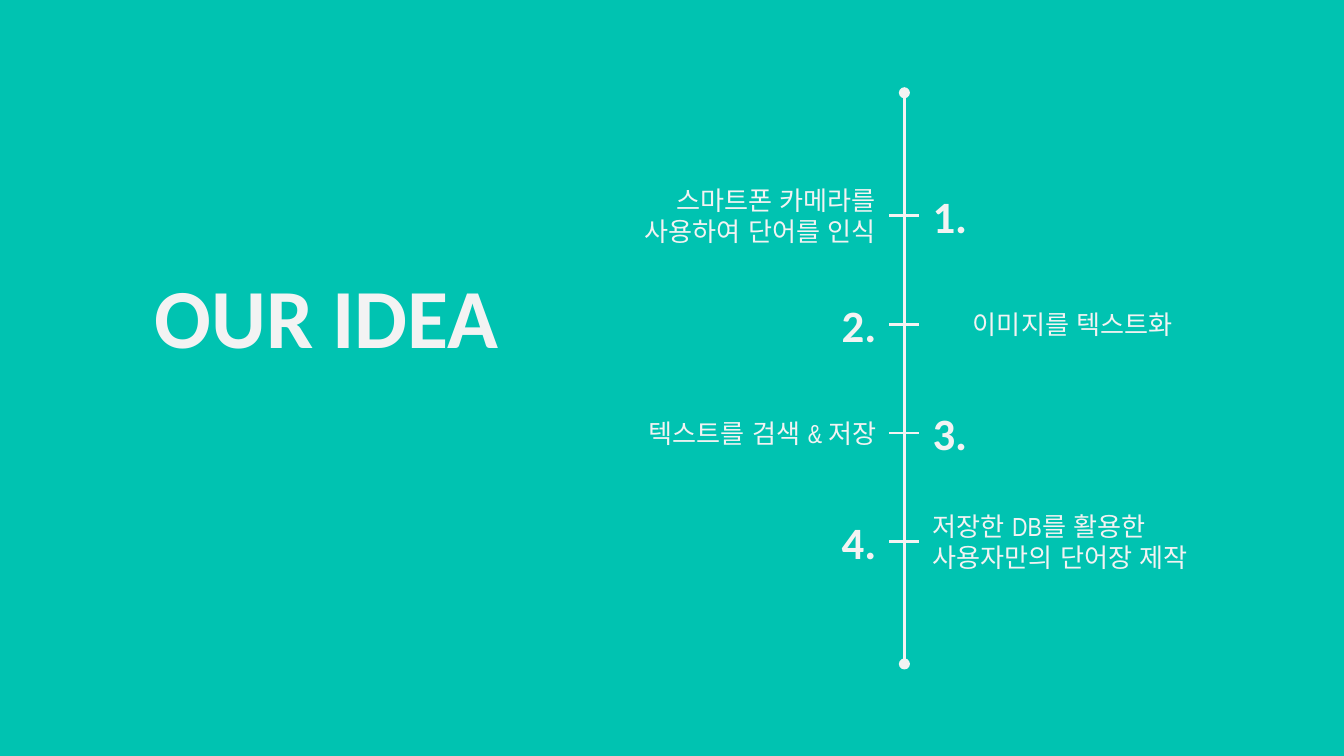
import pptx
import pptx.dml.color
import pptx.enum.lang
import pptx.enum.shapes
import pptx.enum.text
import pptx.oxml
import pptx.oxml.ns
import pptx.util

Pt = pptx.util.Pt
Align = pptx.enum.text.PP_ALIGN
Anchor = pptx.enum.text.MSO_ANCHOR


class Theme:
    back = pptx.dml.color.RGBColor.from_string("00C3B1")
    ink = pptx.dml.color.RGBColor.from_string("F3F3F3")
    head = "Calibri"
    body = "Arial Narrow"
    title = 45
    mark = 24
    note = 14
    line = 1.5


# Step boxes: two columns beside the spine, rows at an equal pitch
LEFT, RIGHT, WIDE, HIGH = 314, 492.5, 162.5, 49.7
TOP, PITCH = 90.7, 58.2
SPINE = 484.5

# Left text, right text, shift of the right box
STEPS = [
    ("스마트폰 카메라를 사용하여 단어를 인식", "1.", 0),
    ("2.", "이미지를 텍스트화", -19.5),
    ("텍스트를 검색 & 저장", "3.", 0),
    ("4.", "저장한 DB를 활용한 사용자만의 단어장 제작", 0),
]


def add_text(slide, text, place, face, size, bold, align, anchor):
    box = slide.shapes.add_textbox(*map(Pt, place))
    frame = box.text_frame
    frame.word_wrap = True
    frame.vertical_anchor = anchor
    frame.margin_left = frame.margin_right = Pt(7.2)
    frame.margin_top = frame.margin_bottom = Pt(7.2)
    para = frame.paragraphs[0]
    para.alignment = align
    run = para.add_run()
    run.text = text
    run.font.language_id = pptx.enum.lang.MSO_LANGUAGE_ID.KOREAN
    font = para.font
    font.name, font.size, font.bold = face, Pt(size), bold
    font.color.rgb = Theme.ink
    return box


def add_step(slide, text, left, top, align):
    if text[0].isdigit():
        style = (Theme.head, Theme.mark, True)
    else:
        style = (Theme.body, Theme.note, False)
    place = (left, top, WIDE, HIGH)
    return add_text(slide, text, place, *style, align, Anchor.MIDDLE)


def add_line(slide, *ends):
    kind = pptx.enum.shapes.MSO_CONNECTOR.STRAIGHT
    line = slide.shapes.add_connector(kind, *map(Pt, ends))
    line.line.color.rgb = Theme.ink
    line.line.width = Pt(Theme.line)
    props = line._element.spPr
    props.append(pptx.oxml.parse_xml(
        f"<a:effectLst {pptx.oxml.ns.nsdecls('a')}/>"))
    return line


def add_dots(line):
    edge = line.line._get_or_add_ln()
    for tag in ("headEnd", "tailEnd"):
        edge.append(pptx.oxml.parse_xml(
            f"<a:{tag} {pptx.oxml.ns.nsdecls('a')} type='oval'/>"))


def main():
    deck = pptx.Presentation()
    deck.slide_width, deck.slide_height = Pt(720), Pt(405)
    slide = deck.slides.add_slide(deck.slide_layouts[6])
    fill = slide.background.fill
    fill.solid()
    fill.fore_color.rgb = Theme.back

    # Title
    add_text(slide, "OUR IDEA", (56.9, 134.6, 217.4, 136), Theme.head,
             Theme.title, True, Align.RIGHT, Anchor.TOP)

    # Spine
    add_dots(add_line(slide, SPINE, 49.7, SPINE, 355.7))

    # Steps, each with a tick across the spine
    for row, (left, right, shift) in enumerate(STEPS):
        top = TOP + row * PITCH
        mid = top + HIGH / 2
        near = add_step(slide, left, LEFT, top, Align.RIGHT)
        side = Align.RIGHT if shift else Align.LEFT
        far = add_step(slide, right, RIGHT + shift, top, side)
        tick = add_line(slide, LEFT + WIDE, mid, RIGHT, mid)
        tick.begin_connect(near, 3)
        if not shift:
            tick.end_connect(far, 1)

    deck.save("out.pptx")


if __name__ == "__main__":
    main()
